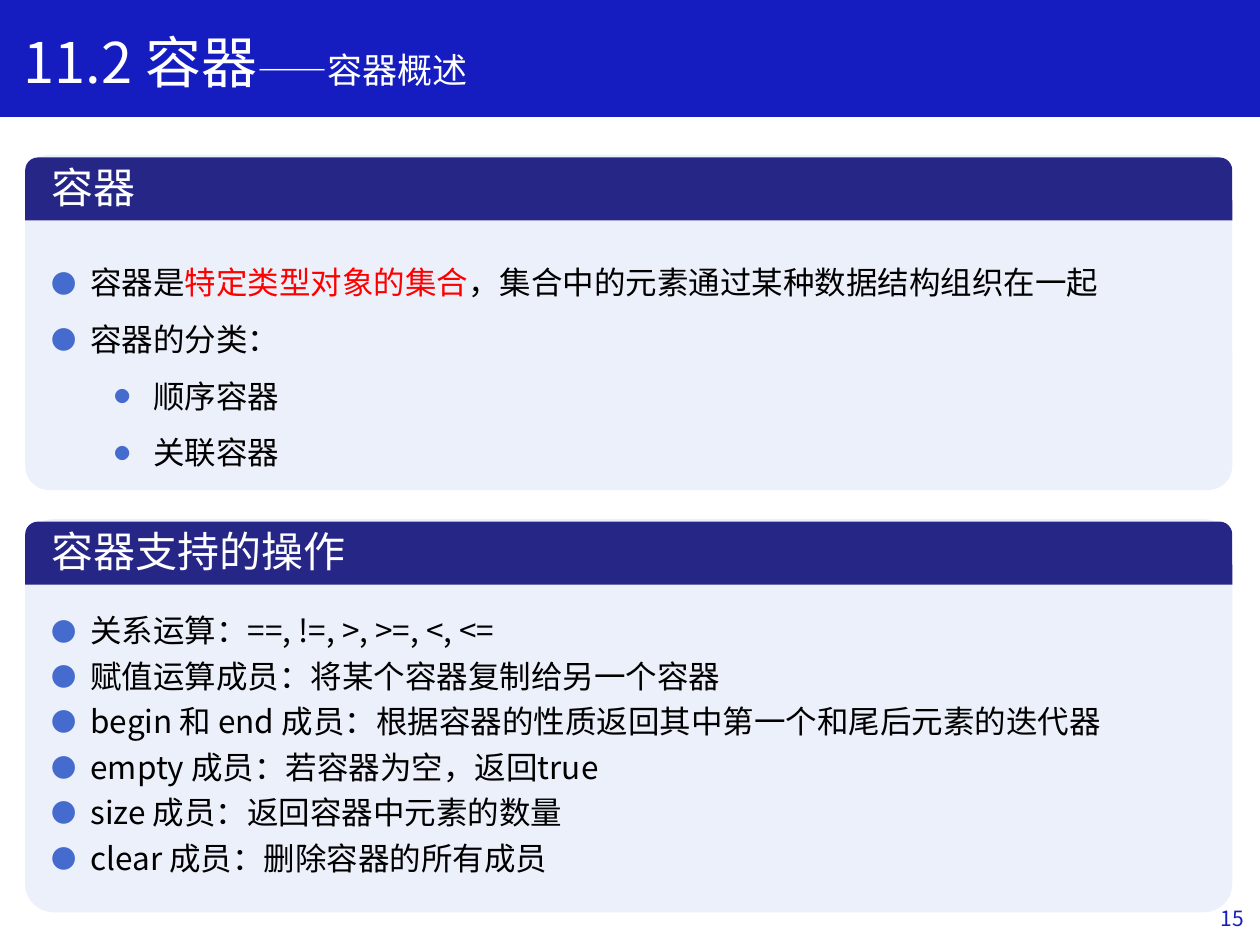
from dataclasses import dataclass

import pptx
import pptx.dml.color
import pptx.enum.shapes
import pptx.enum.text
import pptx.oxml.ns
import pptx.util
from lxml import etree

Inches = pptx.util.Inches
Pt = pptx.util.Pt
SHAPES = pptx.enum.shapes.MSO_SHAPE
ANCHOR = pptx.enum.text.MSO_ANCHOR
qn = pptx.oxml.ns.qn


@dataclass(frozen=True)
class Theme:
    font: str = "Noto Sans CJK SC"
    banner: str = "151DC1"
    header: str = "262686"
    panel: str = "ECF0FA"
    bullet: str = "456BCF"
    body: str = "000000"
    accent: str = "FF0000"
    light: str = "FFFFFF"
    title_size: int = 32
    subtitle_size: int = 20
    heading_size: int = 24
    body_size: int = 18
    number_size: int = 12


def rgb(value):
    return pptx.dml.color.RGBColor.from_string(value)


class SlideBuilder:
    def __init__(self, slide, theme):
        self.slide = slide
        self.theme = theme

    def block(self, shapes, kind, box, color, adjustments=()):
        shape = shapes.add_shape(kind, *map(Inches, box))
        shape.shadow.inherit = False
        shape.fill.solid()
        shape.fill.fore_color.rgb = rgb(color)
        shape.line.fill.background()
        for index, value in enumerate(adjustments):
            shape.adjustments[index] = value
        return shape

    def banner(self, height):
        bar = self.block(self.slide.shapes, SHAPES.RECTANGLE, (0, 0, 10, height), self.theme.banner)
        bar.line.color.rgb = rgb(self.theme.banner)
        bar.line.width = Pt(1)

    def run(self, paragraph, text, size, color):
        run = paragraph.add_run()
        run.text = text
        run.font.size = Pt(size)
        run.font.name = self.theme.font
        run.font.color.rgb = rgb(color)
        latin = run.font._element.find(qn("a:latin"))
        east_asian = etree.Element(qn("a:ea"), typeface=self.theme.font)
        latin.addnext(east_asian)

    def text_frame(self, shapes, box):
        frame = shapes.add_textbox(*map(Inches, box)).text_frame
        frame.word_wrap = True
        return frame

    def line(self, shapes, box, runs):
        """Add a one-paragraph text box of (text, size, color) runs."""
        frame = self.text_frame(shapes, box)
        for run in runs:
            self.run(frame.paragraphs[0], *run)
        return frame

    def page_number(self, number, box):
        frame = self.line(self.slide.shapes, box,
                          [(number, self.theme.number_size, self.theme.banner)])
        frame.vertical_anchor = ANCHOR.MIDDLE
        frame.paragraphs[0].alignment = pptx.enum.text.PP_ALIGN.RIGHT

    def panel(self, heading, top, height):
        theme = self.theme
        shapes = self.slide.shapes.add_group_shape().shapes
        self.block(shapes, SHAPES.ROUNDED_RECTANGLE, (0.2, top, 9.58, height),
                   theme.panel, [0.072])
        self.block(shapes, SHAPES.ROUND_2_SAME_RECTANGLE, (0.2, top + 0.02, 9.58, 0.5),
                   theme.header, [0.201, 0])
        self.line(shapes, (0.31, top, 6.5, 0.5), [(heading, theme.heading_size, theme.light)])

    def bullet(self, paragraph, level):
        properties = paragraph._p.get_or_add_pPr()
        properties.set("marL", str(Inches(0.31 + 0.5 * level)))
        properties.set("indent", str(Inches(-0.31)))
        color = etree.SubElement(properties, qn("a:buClr"))
        etree.SubElement(color, qn("a:srgbClr"), val=self.theme.bullet)
        etree.SubElement(properties, qn("a:buSzPct"), val="50000" if level else "80000")
        etree.SubElement(properties, qn("a:buFont"), typeface=self.theme.font)
        etree.SubElement(properties, qn("a:buChar"), char="●")

    def bullets(self, items, top, height, spacing):
        """Add (level, [(text, color), ...]) items as a bulleted list."""
        frame = self.text_frame(self.slide.shapes, (0.31, top, 9.58, height))
        for index, (level, runs) in enumerate(items):
            paragraph = frame.add_paragraph() if index else frame.paragraphs[0]
            paragraph.level = level
            self.bullet(paragraph, level)
            paragraph.line_spacing = spacing
            for text, color in runs:
                self.run(paragraph, text, self.theme.body_size, color)


def main():
    theme = Theme()
    deck = pptx.Presentation()
    deck.slide_width, deck.slide_height = Inches(10), Inches(7.5)
    builder = SlideBuilder(deck.slides.add_slide(deck.slide_layouts[6]), theme)

    builder.banner(0.92)
    builder.page_number("15", (7.72, 7.09, 2.25, 0.4))
    builder.line(builder.slide.shapes, (0.09, 0.17, 7.44, 0.64), [
        ("11.2 容器", theme.title_size, theme.light),
        ("——容器概述", theme.subtitle_size, theme.light),
    ])

    overview = [
        (0, [("容器是", theme.body),
             ("特定类型对象的集合", theme.accent),
             ("，集合中的元素通过某种数据结构组织在一起", theme.body)]),
        (0, [("容器的分类：", theme.body)]),
        (1, [("顺序容器", theme.body)]),
        (1, [("关联容器", theme.body)]),
    ]
    builder.panel("容器", 1.23, 2.66)
    builder.bullets(overview, 1.89, 1.87, 1.5)

    operations = [
        "关系运算：==, !=, >, >=, <, <=",
        "赋值运算成员：将某个容器复制给另一个容器",
        "begin 和 end 成员：根据容器的性质返回其中第一个和尾后元素的迭代器",
        "empty 成员：若容器为空，返回true",
        "size 成员：返回容器中元素的数量",
        "clear 成员：删除容器的所有成员",
    ]
    builder.panel("容器支持的操作", 4.12, 3.12)
    builder.bullets([(0, [(text, theme.body)]) for text in operations], 4.74, 2.26, Pt(26))

    deck.save("out.pptx")


if __name__ == "__main__":
    main()
